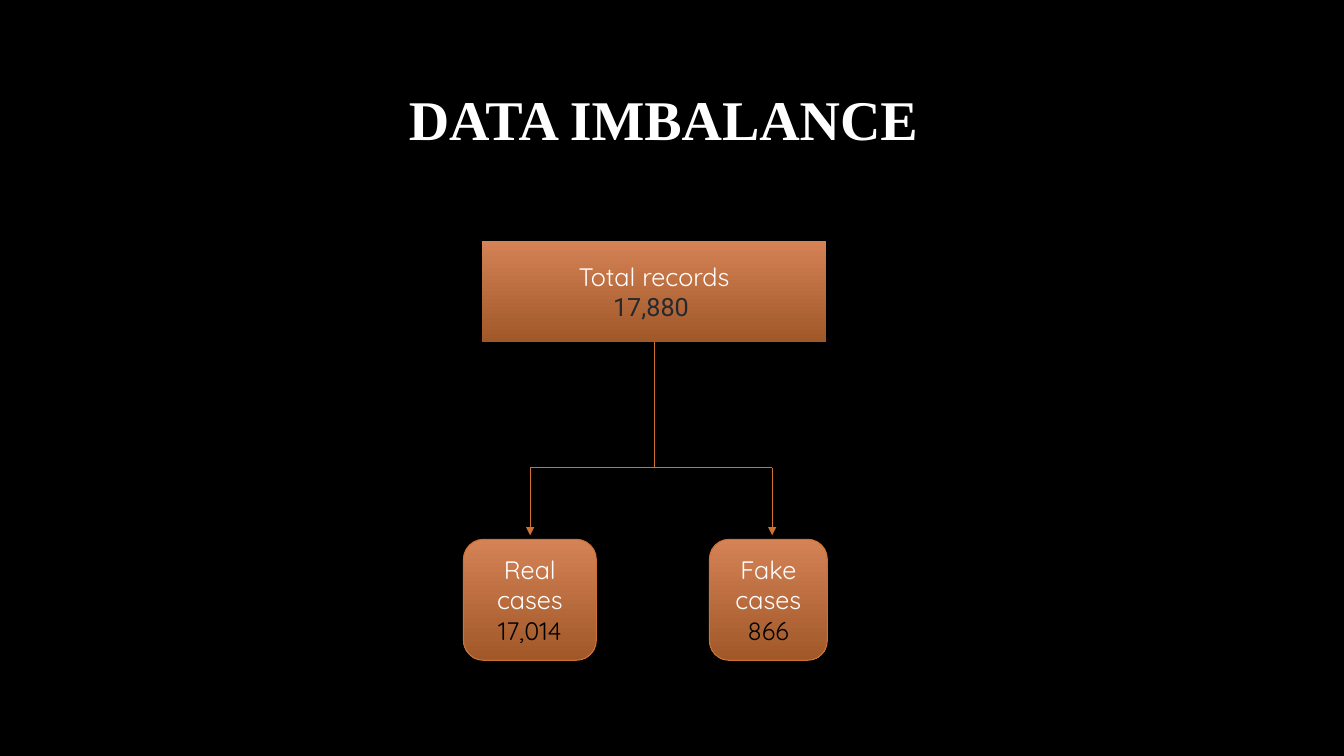
"""Build the data imbalance slide: a total that splits into two kinds of cases."""
from lxml import etree
from pptx import Presentation
from pptx import util as u
from pptx.dml.color import RGBColor
from pptx.enum import shapes, text
from pptx.oxml.ns import qn

COLOURS = {
    "background": "000000",
    "light": "FFFFFF",
    "ink": "24292F",
    "black": "000000",
    "copper": "D48256",
    "brown": "A15828",
    "line": "CF7133",
}
LINE_WIDTH = u.Pt(0.75)


def colour(name):
    """Return the named colour."""
    return RGBColor.from_string(COLOURS[name])


def write(paragraph, words, size=18, font="Quicksand", tint="light", bold=False):
    """Put centred, formatted text in a paragraph."""
    paragraph.alignment = text.PP_ALIGN.CENTER
    run = paragraph.add_run()
    run.text = words
    run.font.size = u.Pt(size)
    run.font.name = font
    run.font.bold = bold
    run.font.color.rgb = colour(tint)


def add_title(slide, words):
    """Place and fill the title placeholder."""
    title = slide.shapes.title
    title.left, title.top, title.width, title.height = map(u.Cm, (2.97, 1.9, 27.5, 2.13))
    title.text_frame.vertical_anchor = text.MSO_ANCHOR.MIDDLE
    write(title.text_frame.paragraphs[0], words, size=40, font="Times New Roman", bold=True)


def add_box(slide, kind, bounds, label, value, outlined=True, **value_format):
    """Add a gradient box with a label above its value."""
    box = slide.shapes.add_shape(kind, *map(u.Cm, bounds))
    box.shadow.inherit = False
    box.fill.gradient()
    box.fill.gradient_angle = 270
    for stop, name in zip(box.fill.gradient_stops, ("copper", "brown")):
        stop.color.rgb = colour(name)
    if outlined:
        box.line.color.rgb = colour("line")
        box.line.width = LINE_WIDTH
    else:
        box.line.fill.background()
    frame = box.text_frame
    frame.word_wrap = True
    frame.vertical_anchor = text.MSO_ANCHOR.MIDDLE
    write(frame.paragraphs[0], label)
    write(frame.add_paragraph(), value, **value_format)


def add_line(slide, start, end, arrow=False):
    """Add a straight connector, with an arrowhead at its end if asked."""
    connector = slide.shapes.add_connector(
        shapes.MSO_CONNECTOR.STRAIGHT, *map(u.Cm, (*start, *end)))
    connector.line.color.rgb = colour("line")
    connector.line.width = LINE_WIDTH
    if arrow:
        etree.SubElement(connector.line._get_or_add_ln(), qn("a:tailEnd"), type="triangle")
    etree.SubElement(connector._element.spPr, qn("a:effectLst"))


def main():
    """Build and save the presentation."""
    presentation = Presentation()
    presentation.slide_width, presentation.slide_height = u.Cm(33.87), u.Cm(19.05)
    slide = presentation.slides.add_slide(presentation.slide_layouts[5])
    slide.background.fill.solid()
    slide.background.fill.fore_color.rgb = colour("background")

    add_title(slide, "DATA IMBALANCE")
    add_box(slide, shapes.MSO_SHAPE.RECTANGLE, (12.14, 6.07, 8.69, 2.54),
            "Total records", "17,880 ", outlined=False, font="Roboto", tint="ink")

    stem_x, fork_y, arrow_y = 16.49, 11.79, 13.49
    add_line(slide, (stem_x, 8.61), (stem_x, fork_y))
    branches = (
        (13.36, 11.68, 3.35, "Real cases", "17,014"),
        (19.46, 17.88, 2.97, "Fake cases", "866"),
    )
    for branch_x, left, width, label, value in branches:
        add_line(slide, (stem_x, fork_y), (branch_x, fork_y))
        add_line(slide, (branch_x, fork_y), (branch_x, arrow_y), arrow=True)
        add_box(slide, shapes.MSO_SHAPE.ROUNDED_RECTANGLE, (left, 13.59, width, 3.05),
                label, value, tint="black")

    presentation.save("out.pptx")


if __name__ == "__main__":
    main()
